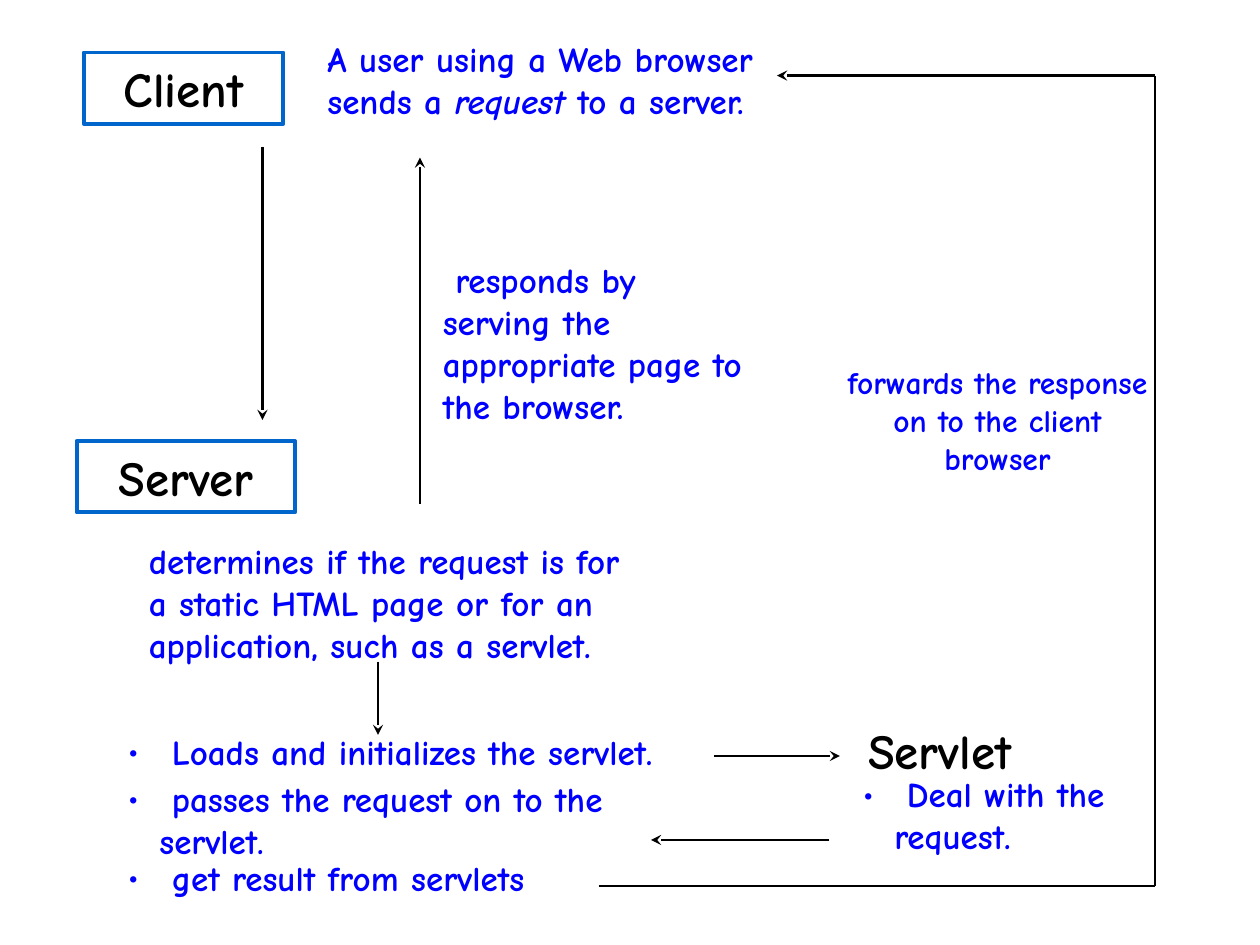
from lxml.etree import SubElement
from pptx import Presentation
from pptx.dml.color import RGBColor
from pptx.enum.shapes import MSO_CONNECTOR, MSO_SHAPE
from pptx.enum.text import PP_ALIGN
from pptx.oxml.ns import qn
from pptx.util import Pt

PX = 7620
COLORS = {"title": "000000", "body": "0000FF", "frame": "0066CC", "arrow": "000000"}
TITLE = {"size": Pt(28), "bold": True, "name": "Comic Neue"}
BODY = {"size": Pt(20), "bold": True, "name": "Comic Neue"}
SMALL = {**BODY, "size": Pt(18)}


def emu(*px):
    """Turn px lengths into EMU."""
    return [v * PX for v in px]


def color(key):
    """Return the named colour."""
    return RGBColor.from_string(COLORS[key])


def add_bullet(p):
    """Give a paragraph a hanging round bullet."""
    pPr = p._p.get_or_add_pPr()
    pPr.set("marL", str(30 * PX))
    pPr.set("indent", str(-30 * PX))
    clr = SubElement(pPr, qn("a:buClr"))
    SubElement(clr, qn("a:srgbClr"), val=COLORS["body"])
    SubElement(pPr, qn("a:buFont"), typeface="Comic Neue")
    SubElement(pPr, qn("a:buChar"), char="•")


def write(tf, paragraphs, fmt, key="body", align=PP_ALIGN.LEFT, bullet=False):
    """Fill a text frame with paragraphs, each a list of (text, italic) runs."""
    tf.word_wrap = True
    for i, runs in enumerate(paragraphs):
        p = tf.add_paragraph() if i else tf.paragraphs[0]
        p.alignment = align
        if i:
            p.space_before = Pt(2.5)
        if bullet:
            add_bullet(p)
        for text, italic in runs:
            r = p.add_run()
            r.text = text
            for name, value in {**fmt, "italic": italic}.items():
                setattr(r.font, name, value)
            r.font.color.rgb = color(key)


def add_text(s, box, *texts, fmt=BODY, **options):
    """Place a text box with one plain paragraph for each text."""
    sp = s.shapes.add_textbox(*emu(*box))
    write(sp.text_frame, [[(t, False)] for t in texts], fmt, **options)


def add_frame(s, box, label):
    """Place a framed, centred name."""
    sp = s.shapes.add_shape(MSO_SHAPE.RECTANGLE, *emu(*box))
    sp.shadow.inherit = False
    sp.fill.background()
    sp.line.color.rgb = color("frame")
    sp.line.width = Pt(2.25)
    write(sp.text_frame, [[(label, False)]], TITLE, "title", PP_ALIGN.CENTER)


def add_line(s, x1, y1, x2, y2, arrow=True):
    """Draw a line, with an arrowhead at its end if asked."""
    cx = s.shapes.add_connector(MSO_CONNECTOR.STRAIGHT, *emu(x1, y1, x2, y2))
    cx.line.color.rgb = color("arrow")
    cx.line.width = Pt(1.5)
    if arrow:
        SubElement(cx.line._get_or_add_ln(), qn("a:tailEnd"), type="stealth")
    SubElement(cx._element.spPr, qn("a:effectLst"))


def add_client(s, x, y, w, h):
    """Place the client, its request and the arrow down to the server."""
    add_frame(s, (x, y + 20, 190, 68), "Client")
    sp = s.shapes.add_textbox(*emu(x + w - 460, y, 460, 92))
    runs = [("A user using a Web browser sends a ", False), ("request", True),
            (" to a server.", False)]
    write(sp.text_frame, [runs], BODY)
    add_line(s, x + 170, y + 110, x + 170, y + h)


def add_response(s, x, y, w, h):
    """Place the arrow up to the client with its label."""
    add_line(s, x, y + h, x, y)
    add_text(s, (x + 10, y + 90, w - 10, 173),
             " responds by serving the appropriate page to the browser.")


def add_server(s, x, y, w, h):
    """Place the server, its decision and the arrow down to its tasks."""
    add_frame(s, (x, y, 208, 68), "Server")
    add_text(s, (x + w - 480, y + 88, 480, 132),
             "determines if the request is for a static HTML page or for an "
             "application, such as a servlet.")
    add_line(s, x + 287, y + 210, x + 287, y + h)


def add_tasks(s, x, y, w, h):
    """Place the bulleted tasks of the server."""
    add_text(s, (x, y, w, 137), " Loads and initializes the servlet.",
             " passes the request on to the servlet.", bullet=True)
    add_text(s, (x, y + h - 53, w, 53), " get result from servlets", bullet=True)


def add_servlet(s, x, y, w, h):
    """Place the servlet, its task and the arrows to and from the server."""
    add_line(s, x, y + 40, x + 120, y + 40)
    add_line(s, x + 110, y + 120, x - 60, y + 120)
    add_text(s, (x + 100, y, 230, 68), "Servlet", fmt=TITLE, key="title",
             align=PP_ALIGN.CENTER)
    add_text(s, (x + w - 320, y + h - 92, 320, 92), " Deal with the request.",
             bullet=True)


def add_return(s, x, y, w, h):
    """Place the path that carries the response back to the client."""
    right, bottom = x + w, y + h
    add_line(s, x, bottom, right, bottom, arrow=False)
    add_line(s, right, bottom, right, y, arrow=False)
    add_line(s, right, y, x + 170, y)
    add_text(s, (right - 310, y + 268, 320, 120),
             "forwards the response on to the client browser",
             fmt=SMALL, align=PP_ALIGN.CENTER)


def main():
    """Build the slide and save it."""
    prs = Presentation()
    prs.slide_width, prs.slide_height = emu(1200, 900)
    s = prs.slides.add_slide(prs.slide_layouts[6])
    add_client(s, 80, 30, 680, 370)
    add_response(s, 400, 150, 320, 330)
    add_server(s, 73, 420, 537, 280)
    add_tasks(s, 110, 690, 580, 173)
    add_servlet(s, 680, 680, 450, 142)
    add_return(s, 570, 72, 530, 772)
    prs.save("out.pptx")


if __name__ == "__main__":
    main()
